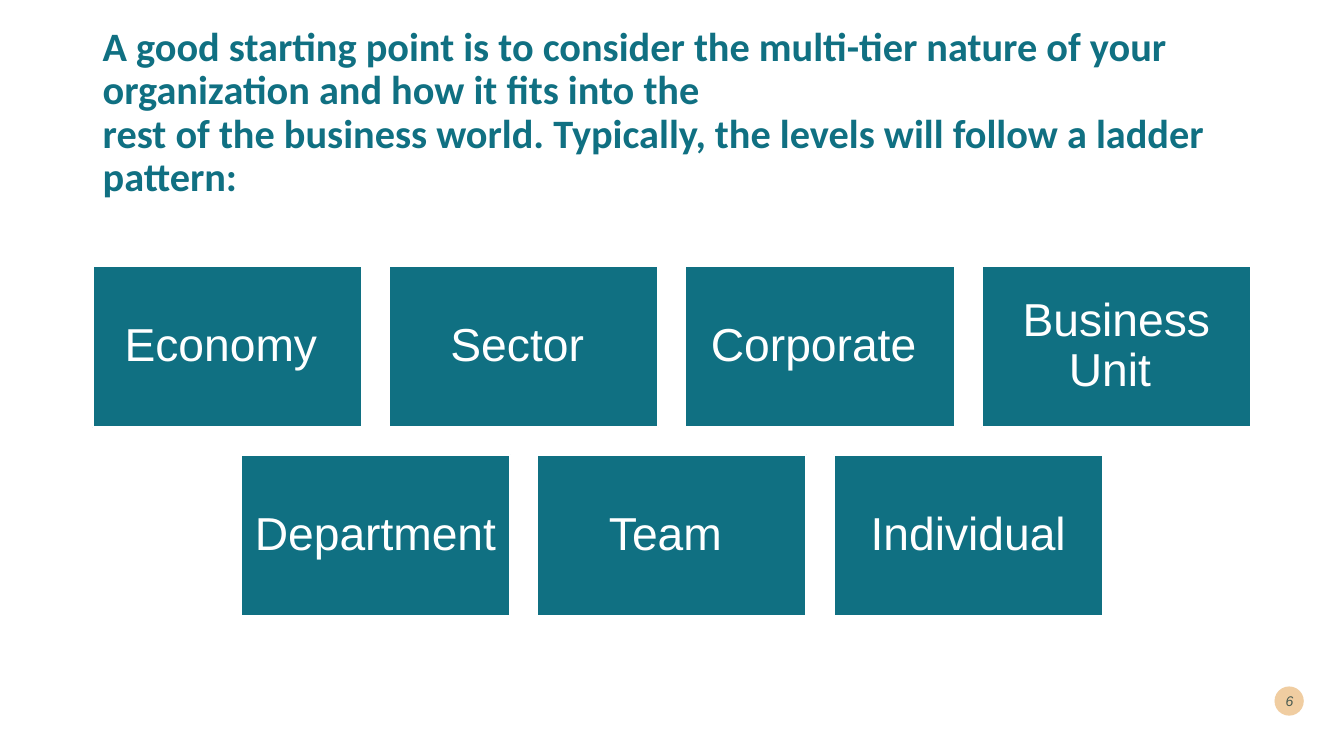
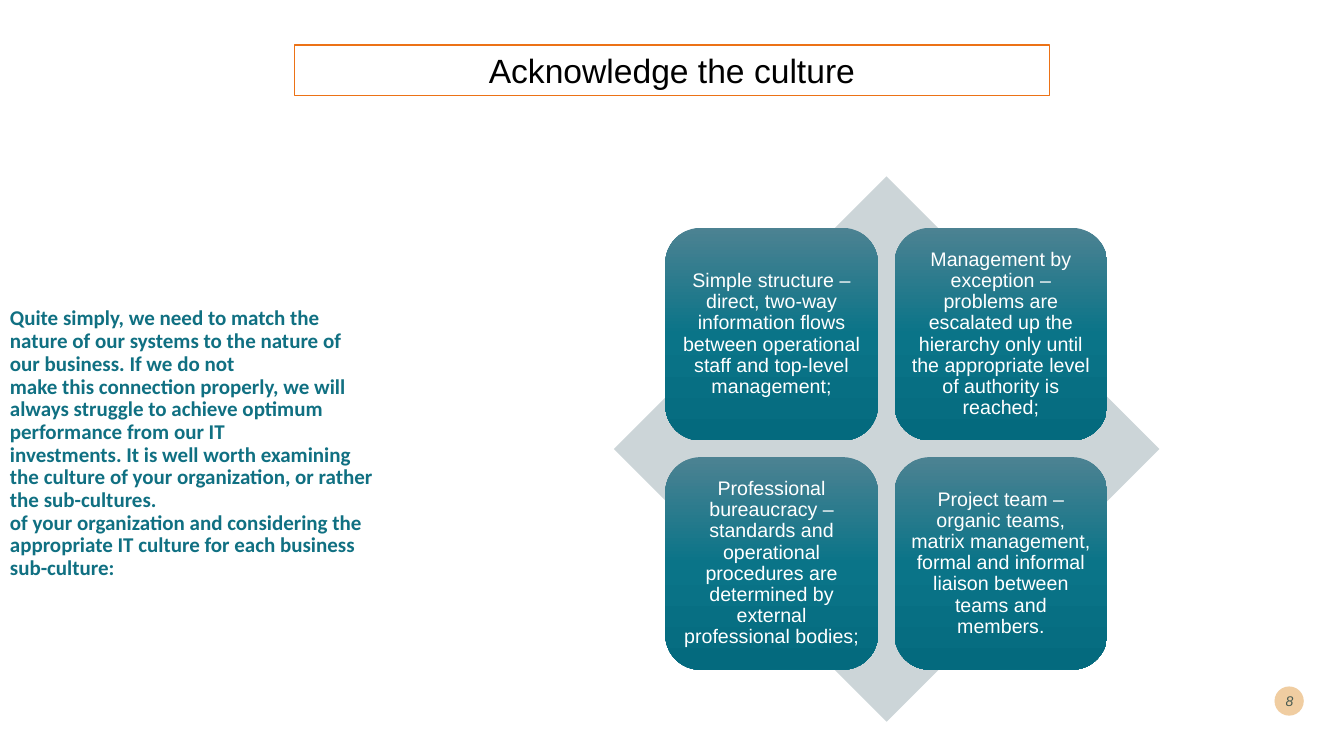
"""Build two slides on organizational levels and culture."""
from copy import deepcopy
from dataclasses import dataclass

from lxml import etree
from pptx import Presentation
from pptx.dml.color import RGBColor
from pptx.enum.shapes import MSO_SHAPE
from pptx.enum.text import MSO_ANCHOR, PP_ALIGN
from pptx.oxml.ns import qn
from pptx.util import Inches, Pt

RECTANGLE = MSO_SHAPE.RECTANGLE
ROUNDED = MSO_SHAPE.ROUNDED_RECTANGLE
DIAMOND = MSO_SHAPE.DIAMOND
OVAL = MSO_SHAPE.OVAL
TOP, MIDDLE = MSO_ANCHOR.TOP, MSO_ANCHOR.MIDDLE
LEFT, CENTER, RIGHT = PP_ALIGN.LEFT, PP_ALIGN.CENTER, PP_ALIGN.RIGHT

SLIDE_WIDTH, SLIDE_HEIGHT = Inches(13.33), Inches(7.5)
COLUMN, ROW = SLIDE_WIDTH / 100, SLIDE_HEIGHT / 100


@dataclass(frozen=True)
class Theme:
    """Colours, fonts and type sizes shared by the slides."""
    teal: str = "107082"
    white: str = "FFFFFF"
    black: str = "000000"
    sand: str = "F0CDA1"
    ink: str = "00292E"
    mist: str = "CCD5D8"
    orange: str = "EC7216"
    gradient: tuple = ((0, "4C8292"), (0.5, "0A7488"), (1, "046A7E"))
    heading_font: str = "Calibri"
    body_font: str = "Arial"
    headline_size: float = 28.8
    statement_size: float = 15
    level_size: float = 33
    culture_size: float = 14
    banner_size: float = 24
    number_size: float = 10


@dataclass(frozen=True)
class Grid:
    """Equal cells with equal gaps, measured in slide columns and rows."""
    left: float
    top: float
    width: float
    height: float
    column_gap: float
    row_gap: float

    def cell(self, column, row):
        """Return the area of one cell."""
        return (self.left + column * (self.width + self.column_gap),
                self.top + row * (self.height + self.row_gap),
                self.width, self.height)


THEME = Theme()
LEVEL_GRID = Grid(6.9, 35.2, 20.03, 21.33, 2.02, 3.6)
CULTURE_GRID = Grid(49.5, 30.13, 15.83, 28.13, 1.23, 2.2)
LEVELS = (
    ("Economy ", "Sector ", "Corporate ", "Business Unit "),
    ("Department ", "Team ", "Individual"),
)
CULTURES = (
    ("Simple structure – direct, two-way information flows between operational "
     "staff and top-level management;",
     "Management by exception – problems are escalated up the hierarchy only "
     "until the appropriate level of authority is reached;"),
    ("Professional bureaucracy – standards and operational procedures are "
     "determined by external professional bodies;",
     "Project team – organic teams, matrix management, formal and informal "
     "liaison between teams and members."),
)
HEADLINE = (
    "A good starting point is to consider the multi-tier nature of your "
    "organization and how it fits into the\n"
    "rest of the business world. Typically, the levels will follow a ladder pattern:"
)
STATEMENT = (
    "Quite simply, we need to match the nature of our systems to the nature of "
    "our business. If we do not\n"
    "make this connection properly, we will always struggle to achieve optimum "
    "performance from our IT\n"
    "investments. It is well worth examining the culture of your organization, "
    "or rather the sub-cultures.\n"
    "of your organization and considering the appropriate IT culture for each "
    "business sub-culture:"
)


def place(area):
    """Turn columns and rows into slide lengths."""
    return [round(length * unit) for length, unit in zip(area, (COLUMN, ROW) * 2)]


def set_attributes(target, values):
    """Set each named value on the target."""
    for name, value in values.items():
        setattr(target, name, value)


def write_text(shape, text, size, color, align=CENTER, anchor=MIDDLE, spacing=0.9,
               inset=None, font=THEME.body_font, bold=False, italic=False):
    """Write one formatted paragraph into a shape."""
    frame = shape.text_frame
    set_attributes(frame, {"word_wrap": True, "vertical_anchor": anchor})
    if inset is not None:
        sides = ("left", "top", "right", "bottom")
        set_attributes(frame, {f"margin_{side}": Inches(inset) for side in sides})
    paragraph = frame.paragraphs[0]
    paragraph.text = text
    set_attributes(paragraph, {"alignment": align, "line_spacing": spacing})
    for run in paragraph.runs:
        set_attributes(run.font, {"name": font, "size": Pt(size),
                                  "bold": bold, "italic": italic})
        run.font.color.rgb = RGBColor.from_string(color)
    return paragraph


def add_shape(slide, kind, area, fill=None, line=None, line_width=1):
    """Add a flat preset shape."""
    shape = slide.shapes.add_shape(kind, *place(area))
    shape.shadow.inherit = False
    if fill:
        shape.fill.solid()
        shape.fill.fore_color.rgb = RGBColor.from_string(fill)
    if line:
        shape.line.color.rgb = RGBColor.from_string(line)
        shape.line.width = Pt(line_width)
    else:
        shape.line.fill.background()
    return shape


def fill_gradient(shape, stops):
    """Fill a shape from top to bottom with three colour stops."""
    shape.fill.gradient()
    shape.fill.gradient_angle = 270
    stop_list = next(shape.element.iter(qn("a:gsLst")))
    stop_list.append(deepcopy(stop_list[-1]))
    for stop, (position, color) in zip(shape.fill.gradient_stops, stops):
        stop.position = position
        stop.color.rgb = RGBColor.from_string(color)


def add_heading(slide, area, text, size):
    """Add the bold teal heading."""
    box = slide.shapes.add_textbox(*place(area))
    write_text(box, text, size, THEME.teal, align=LEFT,
               font=THEME.heading_font, bold=True)


def add_page_number(slide, number):
    """Add the sand disc and its page number."""
    add_shape(slide, OVAL, (94.83, 90.8, 2.18, 3.87), THEME.sand)
    box = slide.shapes.add_textbox(*place((94.05, 90, 2.92, 5.33)))
    paragraph = write_text(box, str(number), THEME.number_size, THEME.ink,
                           align=RIGHT, spacing=1, italic=True)
    paragraph.space_after = Pt(6)
    for color in box.element.iter(qn("a:srgbClr")):
        etree.SubElement(color, qn("a:alpha"), val="70000")


def add_level_boxes(slide):
    """Add the levels in centred rows."""
    widest = max(map(len, LEVELS))
    for row, names in enumerate(LEVELS):
        indent = (widest - len(names)) / 2
        for column, name in enumerate(names):
            box = add_shape(slide, RECTANGLE, LEVEL_GRID.cell(column + indent, row),
                            THEME.teal, THEME.white, 1.5)
            write_text(box, name, THEME.level_size, THEME.white, inset=0.12)


def add_culture_matrix(slide):
    """Add the diamond with the four cultures on it."""
    add_shape(slide, DIAMOND, (45.68, 23.33, 40.58, 72.13), THEME.mist)
    for row, cultures in enumerate(CULTURES):
        for column, culture in enumerate(cultures):
            card = add_shape(slide, ROUNDED, CULTURE_GRID.cell(column, row))
            fill_gradient(card, THEME.gradient)
            write_text(card, culture, THEME.culture_size, THEME.white, inset=0.06)


def add_banner(slide, text):
    """Add the outlined banner."""
    banner = add_shape(slide, RECTANGLE, (21.9, 5.95, 56.18, 6.72),
                       THEME.white, THEME.orange)
    write_text(banner, text, THEME.banner_size, THEME.black, anchor=TOP, spacing=1)


def add_slide(presentation, number):
    """Add a blank slide with its page number."""
    slide = presentation.slides.add_slide(presentation.slide_layouts[6])
    add_page_number(slide, number)
    return slide


def main():
    """Build and save the presentation."""
    presentation = Presentation()
    set_attributes(presentation, {"slide_width": SLIDE_WIDTH,
                                  "slide_height": SLIDE_HEIGHT})

    levels = add_slide(presentation, 6)
    add_heading(levels, (6.9, 5.33, 86.25, 19.33), HEADLINE, THEME.headline_size)
    add_level_boxes(levels)

    culture = add_slide(presentation, 8)
    add_heading(culture, (0, 22.13, 28.55, 73.2), STATEMENT, THEME.statement_size)
    add_culture_matrix(culture)
    add_banner(culture, "Acknowledge the culture")

    presentation.save("out.pptx")


if __name__ == "__main__":
    main()
